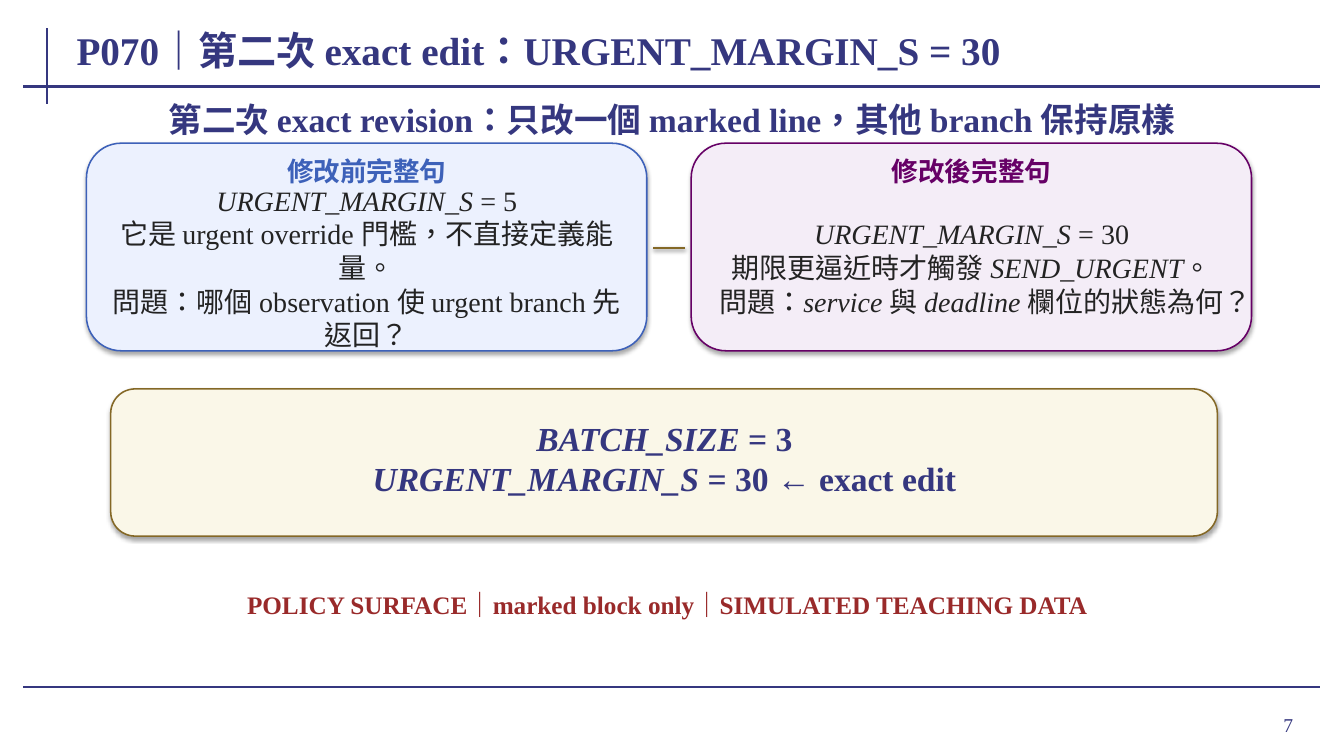
from dataclasses import dataclass

from lxml.etree import SubElement
from pptx import Presentation
from pptx.dml.color import RGBColor
from pptx.enum.lang import MSO_LANGUAGE_ID
from pptx.enum.shapes import MSO_CONNECTOR, MSO_SHAPE
from pptx.enum.text import MSO_ANCHOR, MSO_AUTO_SIZE, PP_ALIGN
from pptx.oxml.ns import qn
from pptx.slide import Slide
from pptx.util import Cm, Pt

FONT = "Times New Roman"
COLORS = {
    "navy": "35377F", "ink": "232323", "red": "992A2A",
    "blue": "3D61B9", "blue_fill": "ECF1FE",
    "purple": "660066", "purple_fill": "F4EDF7",
    "gold": "846826", "gold_fill": "FAF7E8",
}


@dataclass
class Area:
    left: float
    top: float
    width: float
    height: float


@dataclass
class Label:
    area: Area
    lines: list[str]  # text between asterisks is italic
    size: int
    color: str
    bold: bool = True
    align: PP_ALIGN = PP_ALIGN.CENTER
    grow: bool = True


@dataclass
class Rule:
    start: tuple[float, float]
    end: tuple[float, float]
    color: str = "navy"
    width: float = 1.5
    shadow: int = 0


@dataclass
class Card:
    left: float
    color: str
    heading: str
    lines: list[str]


def rgb(name: str) -> RGBColor:
    return RGBColor.from_string(COLORS[name])


def set_shadow(properties, opacity: int, distance: float) -> None:
    """Write the effect list: a soft drop shadow, or nothing at zero opacity."""
    effects = SubElement(properties, qn("a:effectLst"))
    if opacity:
        shadow = SubElement(effects, qn("a:outerShdw"), blurRad=str(Pt(3.1)),
                            dist=str(Pt(distance)), dir="5400000", rotWithShape="0")
        black = SubElement(shadow, qn("a:srgbClr"), val="000000")
        SubElement(black, qn("a:alpha"), val=str(opacity * 1000))


def add_rule(page: Slide, rule: Rule) -> None:
    line = page.shapes.add_connector(
        MSO_CONNECTOR.STRAIGHT, *(Cm(value) for value in rule.start + rule.end))
    line.line.color.rgb = rgb(rule.color)
    line.line.width = Pt(rule.width)
    set_shadow(line._element.spPr, rule.shadow, 1.6)


def add_panel(page: Slide, area: Area, color: str) -> None:
    panel = page.shapes.add_shape(
        MSO_SHAPE.ROUNDED_RECTANGLE,
        Cm(area.left), Cm(area.top), Cm(area.width), Cm(area.height))
    panel.fill.solid()
    panel.fill.fore_color.rgb = rgb(f"{color}_fill")
    panel.line.color.rgb = rgb(color)
    panel.line.width = Pt(1.1)
    set_shadow(panel._element.spPr, 35, 1.8)


def add_label(page: Slide, label: Label) -> None:
    area = label.area
    box = page.shapes.add_textbox(
        Cm(area.left), Cm(area.top), Cm(area.width), Cm(area.height))
    frame = box.text_frame
    frame.word_wrap = True
    frame.auto_size = MSO_AUTO_SIZE.SHAPE_TO_FIT_TEXT if label.grow else MSO_AUTO_SIZE.NONE
    frame.vertical_anchor = MSO_ANCHOR.MIDDLE
    frame.margin_left = frame.margin_right = Cm(0.2)
    frame.margin_top = frame.margin_bottom = Cm(0.1)
    for index, line in enumerate(label.lines):
        para = frame.add_paragraph() if index else frame.paragraphs[0]
        para.alignment = label.align
        para.font.name = FONT
        para.font.size = Pt(label.size)
        para.font.bold = label.bold
        para.font.color.rgb = rgb(label.color)
        for position, piece in enumerate(line.split("*")):
            if piece:
                span = para.add_run()
                span.text = piece
                span.font.italic = position % 2 == 1
                span.font.language_id = MSO_LANGUAGE_ID.TRADITIONAL_CHINESE


def add_card(page: Slide, card: Card) -> None:
    add_panel(page, Area(card.left, 3.61, 14.12, 5.23), card.color)
    add_label(page, Label(Area(card.left + 0.36, 3.91, 13.41, 0.81),
                          [card.heading], 19, card.color))
    add_label(page, Label(Area(card.left + 0.41, 4.93, 13.31, 3.61),
                          card.lines, 20, "ink", bold=False))


FRAME_RULES = [
    Rule((1.19, 0.71), (1.19, 2.62)),
    Rule((0.58, 2.18), (33.27, 2.18)),
    Rule((0.58, 17.32), (33.27, 17.32)),
]
CARD_LINK = Rule((16.46, 6.25), (17.27, 6.25), "gold", 2, shadow=38)
CARDS = [
    Card(2.18, "blue", "修改前完整句", [
        "*URGENT_MARGIN_S* = 5",
        "它是 urgent override 門檻，不直接定義能量。",
        "問題：哪個 observation 使 urgent branch 先返回？",
    ]),
    Card(17.42, "purple", "修改後完整句", [
        "*URGENT_MARGIN_S* = 30",
        "期限更逼近時才觸發 *SEND_URGENT*。",
        "問題：*service* 與 *deadline* 欄位的狀態為何？",
    ]),
]
HEADINGS = [
    Label(Area(30.38, 17.6, 2.41, 1.32), ["7"], 14, "navy",
          bold=False, align=PP_ALIGN.RIGHT, grow=False),
    Label(Area(1.73, 0.46, 30.35, 1.57),
          ["P070｜第二次 exact edit：URGENT_MARGIN_S = 30"], 28, "navy",
          align=PP_ALIGN.LEFT, grow=False),
    Label(Area(2.18, 2.39, 29.51, 1.22),
          ["第二次 exact revision：只改一個 marked line，其他 branch 保持原樣"], 24, "navy"),
]
EDIT_PANEL = Area(2.79, 9.8, 27.89, 3.71)
EDIT_LABEL = Label(Area(3.51, 10.46, 26.47, 2.18),
                   ["*BATCH_SIZE* = 3", "*URGENT_MARGIN_S* = 30 ← exact edit"],
                   24, "navy")
SCOPE_LABEL = Label(Area(1.83, 14.88, 29.97, 0.69),
                    ["POLICY SURFACE｜marked block only｜SIMULATED TEACHING DATA"],
                    18, "red")


def main() -> None:
    deck = Presentation()
    deck.slide_width, deck.slide_height = Cm(33.87), Cm(19.05)
    page = deck.slides.add_slide(deck.slide_layouts[6])

    # Page frame and headings
    for rule in FRAME_RULES:
        add_rule(page, rule)
    for label in HEADINGS:
        add_label(page, label)

    # Before and after cards
    for card in CARDS:
        add_card(page, card)
    add_rule(page, CARD_LINK)

    # Edited code and scope note
    add_panel(page, EDIT_PANEL, "gold")
    add_label(page, EDIT_LABEL)
    add_label(page, SCOPE_LABEL)

    deck.save("out.pptx")


if __name__ == "__main__":
    main()
